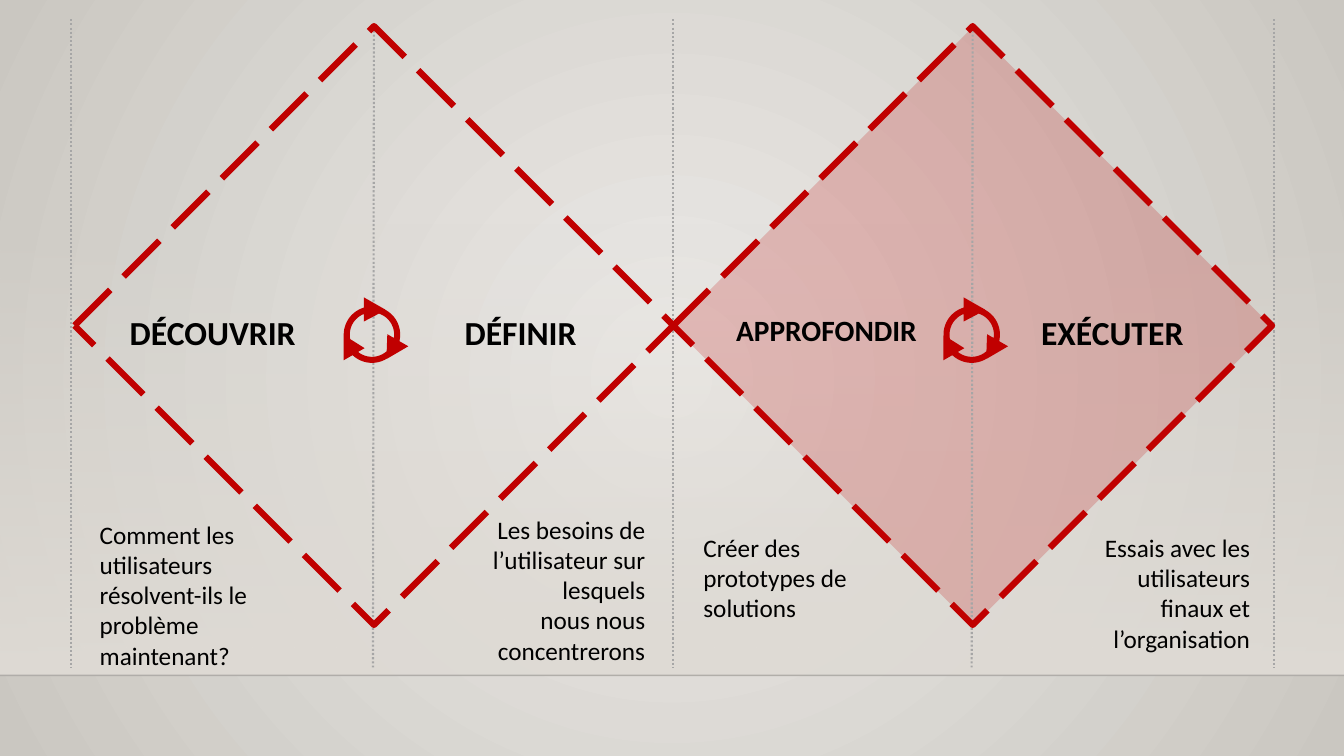
from math import atan2, cos, hypot, radians, sin
from lxml import etree
from pptx import Presentation
from pptx.dml.color import RGBColor
from pptx.enum.dml import MSO_LINE_DASH_STYLE as DASH
from pptx.enum.shapes import MSO_CONNECTOR, MSO_SHAPE as SHAPE
from pptx.enum.text import MSO_AUTO_SIZE as FIT, PP_ALIGN as ALIGN
from pptx.oxml import parse_xml
from pptx.oxml.ns import nsdecls, qn
from pptx.util import Pt

PX = 9144
RED, GREY, BLACK, SAND = "C00000", "A6A6A6", "000000", "DFDBD5"
SIDE = 594


def px(*values):
    return [round(v * PX) for v in values]


def add_alpha(color, percent):
    etree.SubElement(color, qn("a:alpha")).set("val", str(percent * 1000))


def paint(fill, color, opacity=100):
    fill.solid()
    fill.fore_color.rgb = RGBColor.from_string(color)
    if opacity < 100:
        add_alpha(fill._xPr.find(".//" + qn("a:srgbClr")), opacity)


def gradient(fill, colors):
    fill.gradient()
    for stop, color, position in zip(fill.gradient_stops, colors, (0, 1)):
        stop.color.rgb = RGBColor.from_string(color)
        stop.position = position
    return fill._xPr.find(qn("a:gradFill"))


def add_background(s):
    grad = gradient(s.background.fill, ("ECEAE7", "CAC7C1"))
    grad.replace(grad.find(qn("a:lin")), parse_xml(
        f'<a:path {nsdecls("a")} path="circle">'
        '<a:fillToRect l="50000" t="50000" r="50000" b="50000"/></a:path>'))


def add_wall(s):
    wall = s.shapes.add_shape(SHAPE.RECTANGLE, *px(0, 221, 1333.33, 449))
    wall.shadow.inherit = False
    wall.line.fill.background()
    grad = gradient(wall.fill, (SAND, SAND))
    wall.fill.gradient_angle = 270
    add_alpha(grad.find(".//" + qn("a:srgbClr")), 0)


def add_line(s, ends, color, width, dash, opacity=100):
    line = s.shapes.add_connector(MSO_CONNECTOR.STRAIGHT, *px(*ends))
    paint(line.line.fill, color, opacity)
    for name, value in {"width": Pt(width), "dash_style": dash}.items():
        setattr(line.line, name, value)
    etree.SubElement(line._element.spPr, qn("a:effectLst"))


def add_diamond(s, x, y, filled=False):
    diamond = s.shapes.add_shape(SHAPE.DIAMOND, *px(x, y, SIDE, SIDE))
    diamond.shadow.inherit = False
    if filled:
        paint(diamond.fill, RED, 20)
        diamond.line.fill.background()
    else:
        diamond.fill.background()
        paint(diamond.line.fill, RED)
        for name, value in {"width": Pt(4.5), "dash_style": DASH.LONG_DASH}.items():
            setattr(diamond.line, name, value)


def add_text(s, box, text, size, align, bold=False):
    tf = s.shapes.add_textbox(*px(*box)).text_frame
    for name, value in {"word_wrap": True, "auto_size": FIT.SHAPE_TO_FIT_TEXT}.items():
        setattr(tf, name, value)
    p = tf.paragraphs[0]
    p.text = text
    p.alignment = align
    for r in p.runs:
        for name, value in {"name": "Calibri", "size": Pt(size), "bold": bold}.items():
            setattr(r.font, name, value)
        paint(r.font.fill, BLACK)


def add_cycle(s, cx, cy):
    def polar(radius, angle):
        return tuple(px(cx + radius * cos(radians(angle)), cy + radius * sin(radians(angle))))

    def turned(x, y, turn):
        return polar(hypot(x, y), atan2(y, x) * 180 / 3.14159 + turn)

    def arc(radius, start, end, steps=16):
        return [polar(radius, start + (end - start) * i / steps) for i in range(steps + 1)]

    outer, inner = [], []
    for turn in (0, 120, 240):
        outer += [turned(-8, -37, turn), turned(13, -25, turn)]
        outer += arc(28, turn - 62, turn + 13.4)
        inner += [turned(-8, -13, turn)] + arc(22, turn - 71.6, turn + 8.7)
    inner.reverse()
    builder = s.shapes.build_freeform(*outer[0], scale=1.0)
    builder.add_line_segments(outer[1:])
    builder.move_to(*inner[0])
    builder.add_line_segments(inner[1:])
    cycle = builder.convert_to_shape()
    cycle.shadow.inherit = False
    paint(cycle.fill, RED)
    cycle.line.fill.background()


def main():
    prs = Presentation()
    prs.slide_width, prs.slide_height = px(1333.33, 750)
    s = prs.slides.add_slide(prs.slide_layouts[6])
    add_background(s)
    add_wall(s)
    add_line(s, (0, 670, 1333.33, 670), "000001", 1, DASH.SOLID, 20)

    add_diamond(s, 668, 27, filled=True)
    for top_x, top, bottom_x in ((371, 26, 370), (965, 26, 964), (668, 19, 668),
                                 (70, 19, 70), (1264, 19, 1264)):
        add_line(s, (top_x, top, bottom_x, 662), GREY, 1.5, DASH.ROUND_DOT)
    for x in (668, 668 - SIDE):
        add_diamond(s, x, 26)

    for x, width, size, phase in ((90, 242, 24, "DÉCOUVRIR"), (429, 175, 24, "DÉFINIR"),
                                  (695, 250, 21, "APPROFONDIR"), (992, 223, 24, "EXÉCUTER")):
        add_text(s, (x, 305, width, 50), phase, size, ALIGN.CENTER, bold=True)

    for box, align, text in (
            ((89, 510, 218, 162), ALIGN.LEFT,
             "Comment les utilisateurs résolvent-ils le problème maintenant?"),
            ((464, 505, 186, 162), ALIGN.RIGHT,
             "Les besoins de l’utilisateur sur lesquels\vnous nous concentrerons"),
            ((688, 523, 196, 131), ALIGN.LEFT, "Créer des prototypes de solutions"),
            ((1064, 523, 186, 131), ALIGN.RIGHT,
             "Essais avec les utilisateurs finaux et l’organisation")):
        add_text(s, box, text, 18, align)

    for x in (369, 964):
        add_cycle(s, x, 332)
    prs.save("out.pptx")


if __name__ == "__main__":
    main()
